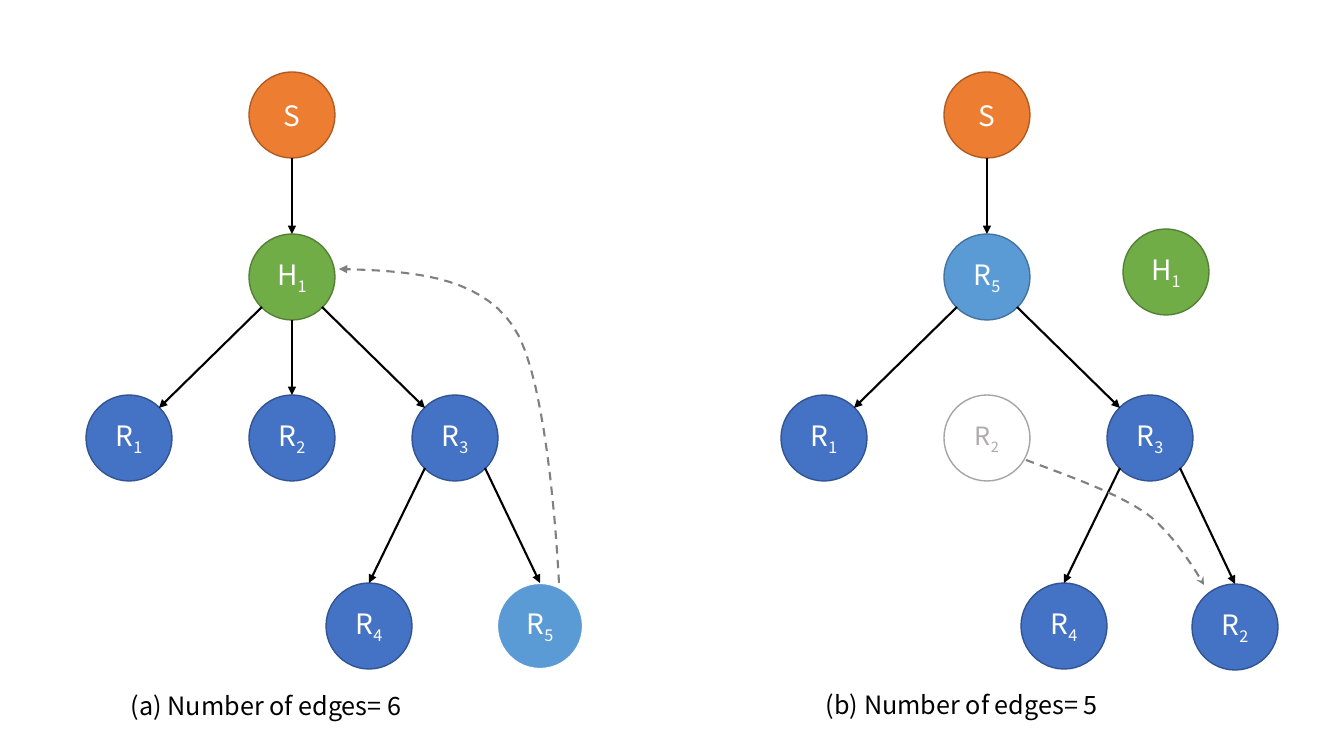
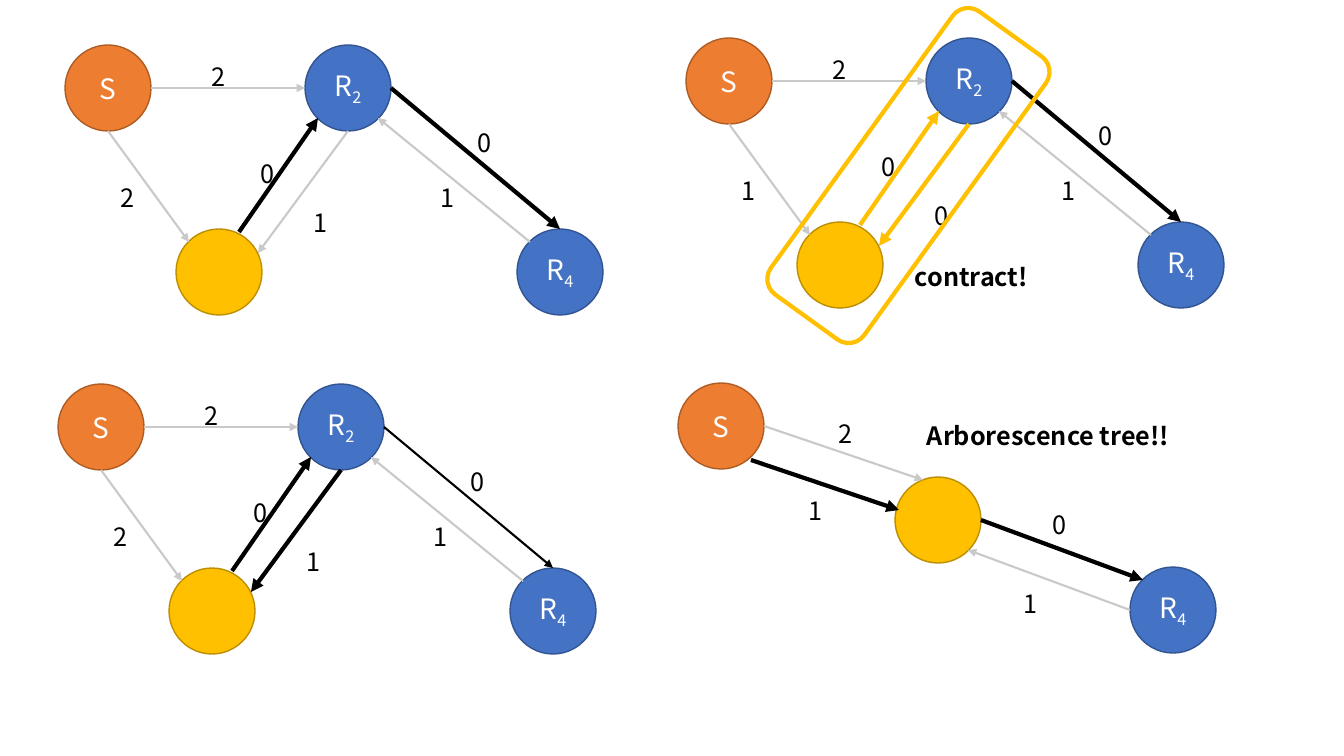
import enum
import typing

import lxml.etree
import pptx
import pptx.dml.color
import pptx.enum.dml
import pptx.enum.shapes
import pptx.enum.text
import pptx.oxml.ns
import pptx.shapes.autoshape
import pptx.slide
import pptx.util

RGBColor = pptx.dml.color.RGBColor
Point = tuple[int, int]

EMU_PER_PIXEL = 914400 / 100.8
FONT = "Noto Sans CJK JP"
RADIUS = 43
CURVE_STEPS = 16

BLACK = RGBColor(0x00, 0x00, 0x00)
WHITE = RGBColor(0xFF, 0xFF, 0xFF)
ORANGE = RGBColor(0xED, 0x7D, 0x31)
DARK_ORANGE = RGBColor(0xAF, 0x5C, 0x24)
GREEN = RGBColor(0x70, 0xAD, 0x47)
DARK_GREEN = RGBColor(0x53, 0x80, 0x35)
BLUE = RGBColor(0x44, 0x72, 0xC4)
DARK_BLUE = RGBColor(0x32, 0x54, 0x91)
SKY = RGBColor(0x5B, 0x9B, 0xD5)
DARK_SKY = RGBColor(0x43, 0x73, 0x9E)
YELLOW = RGBColor(0xFF, 0xC0, 0x00)
DARK_YELLOW = RGBColor(0xBD, 0x8E, 0x00)
PALE_GREY = RGBColor(0xC9, 0xC9, 0xC9)
MIDDLE_GREY = RGBColor(0x80, 0x80, 0x80)
OUTLINE_GREY = RGBColor(0xA5, 0xA5, 0xA5)
TEXT_GREY = RGBColor(0xAF, 0xAB, 0xAB)


class Site(enum.Enum):
    """Places where an edge meets a node: glue index (if any), then offset."""

    TOP = (0, 0, -RADIUS)
    TOP_LEFT = (1, -30, -30)
    LEFT = (2, -RADIUS, 0)
    BOTTOM_LEFT = (3, -30, 30)
    BOTTOM = (4, 0, RADIUS)
    BOTTOM_RIGHT = (5, 30, 30)
    RIGHT = (6, RADIUS, 0)
    TOP_RIGHT = (7, 30, -30)
    STEEP_TOP_RIGHT = (None, 20, -40)
    FLAT_TOP_RIGHT = (None, 39, -19)
    STEEP_TOP_LEFT = (None, -15, -40)
    FLAT_TOP_LEFT = (None, -39, -10)
    LOW_RIGHT = (None, 30, 34)


class Look(typing.NamedTuple):
    """Colours and sizes of a node."""

    fill: RGBColor
    outline: RGBColor
    text: RGBColor = WHITE
    font_size: int = 20
    outline_width: float = 1


class Node(typing.NamedTuple):
    """A labelled circle, placed by its centre within a panel."""

    label: str
    center: Point
    look: Look


class Pen(typing.NamedTuple):
    """Colour and width of an edge."""

    color: RGBColor
    width: float


class Route(typing.NamedTuple):
    """Ends of an edge and the place of its weight."""

    start: str
    start_site: Site
    end: str
    end_site: Site
    weight_at: Point = (0, 0)


class Stroke(typing.NamedTuple):
    """How one panel draws a route."""

    pen: Pen
    weight: str = ""


SOURCE = Look(ORANGE, DARK_ORANGE)
HELPER = Look(GREEN, DARK_GREEN)
RECEIVER = Look(BLUE, DARK_BLUE)
MOVED = Look(SKY, DARK_SKY)
LEAVING = Look(SKY, WHITE, outline_width=1.5)
VACATED = Look(WHITE, OUTLINE_GREY, TEXT_GREY, 18)
MERGED = Look(YELLOW, DARK_YELLOW)

THIN = Pen(BLACK, 1.5)
BOLD = Pen(BLACK, 3)
FAINT = Pen(PALE_GREY, 1.5)
CYCLE = Pen(YELLOW, 3)

BEFORE_NODES = [
    Node("S", (292, 115), SOURCE), Node("H1", (292, 277), HELPER),
    Node("R1", (129, 438), RECEIVER), Node("R2", (292, 438), RECEIVER),
    Node("R3", (455, 438), RECEIVER), Node("R4", (369, 626), RECEIVER),
    Node("R5", (540, 626), LEAVING),
]
BEFORE_ROUTES = [
    Route("S", Site.BOTTOM, "H1", Site.TOP),
    Route("H1", Site.BOTTOM, "R2", Site.TOP),
    Route("H1", Site.BOTTOM_LEFT, "R1", Site.TOP_RIGHT),
    Route("H1", Site.BOTTOM_RIGHT, "R3", Site.TOP_LEFT),
    Route("R3", Site.BOTTOM_LEFT, "R4", Site.TOP),
    Route("R3", Site.BOTTOM_RIGHT, "R5", Site.TOP),
]
AFTER_NODES = [
    Node("S", (292, 115), SOURCE), Node("R5", (292, 277), MOVED),
    Node("R1", (129, 438), RECEIVER), Node("R3", (455, 438), RECEIVER),
    Node("R4", (369, 626), RECEIVER), Node("R2", (540, 627), RECEIVER),
    Node("H1", (471, 272), HELPER),
]
AFTER_ROUTES = [
    Route("S", Site.BOTTOM, "R5", Site.TOP),
    Route("R5", Site.BOTTOM_LEFT, "R1", Site.TOP_RIGHT),
    Route("R5", Site.BOTTOM_RIGHT, "R3", Site.TOP_LEFT),
    Route("R3", Site.BOTTOM_LEFT, "R4", Site.TOP),
    Route("R3", Site.BOTTOM_RIGHT, "R2", Site.TOP),
]
AFTER_ORIGIN = (695, 0)
VACATED_NODE = Node("R2", (292, 438), VACATED)
HELPER_PATH = [(559, 583), (559, 583), (550, 378), (513, 326),
               (477, 274), (407, 271), (339, 269)]
RECEIVER_PATH = [(1026, 460), (1071, 477), (1117, 493), (1147, 514),
                 (1176, 535), (1204, 585), (1204, 585)]

GRAPH_NODES = [
    Node("S", (0, 0), SOURCE), Node("", (111, 184), MERGED),
    Node("R2", (240, 0), RECEIVER), Node("R4", (452, 184), RECEIVER),
]
GRAPH_ROUTES = [
    Route("S", Site.RIGHT, "R2", Site.LEFT, (94, -32)),
    Route("", Site.STEEP_TOP_RIGHT, "R2", Site.BOTTOM_LEFT, (143, 65)),
    Route("S", Site.BOTTOM, "", Site.TOP_LEFT, (3, 89)),
    Route("R2", Site.BOTTOM, "", Site.FLAT_TOP_RIGHT, (196, 114)),
    Route("R2", Site.RIGHT, "R4", Site.TOP, (360, 34)),
    Route("R4", Site.TOP_LEFT, "R2", Site.BOTTOM_RIGHT, (323, 89)),
]
GRAPH_PANELS = [
    ((108, 88), [Stroke(FAINT, "2"), Stroke(BOLD, "0"), Stroke(FAINT, "2"),
                 Stroke(FAINT, "1"), Stroke(BOLD, "0"), Stroke(FAINT, "1")]),
    ((101, 427), [Stroke(FAINT, "2"), Stroke(BOLD, "0"), Stroke(FAINT, "2"),
                  Stroke(BOLD, "1"), Stroke(THIN, "0"), Stroke(FAINT, "1")]),
    ((729, 81), [Stroke(FAINT, "2"), Stroke(CYCLE, "0"), Stroke(FAINT, "1"),
                 Stroke(CYCLE, "0"), Stroke(BOLD, "0"), Stroke(FAINT, "1")]),
]
TREE_NODES = [
    Node("S", (0, 0), SOURCE), Node("", (217, 94), MERGED),
    Node("R4", (452, 184), RECEIVER),
]
TREE_ROUTES = [
    Route("S", Site.RIGHT, "", Site.STEEP_TOP_LEFT, (108, -13)),
    Route("S", Site.LOW_RIGHT, "", Site.FLAT_TOP_LEFT, (78, 64)),
    Route("", Site.RIGHT, "R4", Site.TOP_LEFT, (322, 78)),
    Route("R4", Site.LEFT, "", Site.BOTTOM_RIGHT, (293, 157)),
]
TREE_STROKES = [Stroke(FAINT, "2"), Stroke(BOLD, "1"),
                Stroke(BOLD, "0"), Stroke(FAINT, "1")]


def emu(pixels: float) -> pptx.util.Emu:
    """Turn pixels into EMU."""
    return pptx.util.Emu(round(pixels * EMU_PER_PIXEL))


def shift(point: Point, origin: Point) -> Point:
    """Move a point by an origin."""
    return point[0] + origin[0], point[1] + origin[1]


def add_arrowhead(element: lxml.etree._Element, kind: str) -> None:
    """Put an arrowhead on the far end of a line."""
    line = element.find(".//" + pptx.oxml.ns.qn("a:ln"))
    lxml.etree.SubElement(line, pptx.oxml.ns.qn("a:tailEnd"), type=kind)


def add_node(slide: pptx.slide.Slide, node: Node, origin: Point) -> pptx.shapes.autoshape.Shape:
    """Draw a circle whose label has its digit as a subscript."""
    x, y = shift(node.center, origin)
    shape = slide.shapes.add_shape(
        pptx.enum.shapes.MSO_SHAPE.OVAL, emu(x - RADIUS), emu(y - RADIUS),
        emu(2 * RADIUS), emu(2 * RADIUS))
    shape.shadow.inherit = False
    shape.fill.solid()
    shape.fill.fore_color.rgb = node.look.fill
    shape.line.color.rgb = node.look.outline
    shape.line.width = pptx.util.Pt(node.look.outline_width)
    if node.label:
        shape.text_frame.vertical_anchor = pptx.enum.text.MSO_ANCHOR.MIDDLE
        paragraph = shape.text_frame.paragraphs[0]
        paragraph.alignment = pptx.enum.text.PP_ALIGN.CENTER
        paragraph.font.name = FONT
        paragraph.font.size = pptx.util.Pt(node.look.font_size)
        paragraph.font.color.rgb = node.look.text
        for character in node.label:
            run = paragraph.add_run()
            run.text = character
            if character.isdigit():
                run._r.get_or_add_rPr().set("baseline", "-25000")
    return shape


def add_edge(slide: pptx.slide.Slide, start: Point, end: Point, pen: Pen,
             glue: list[tuple[str, int, int | None]]) -> None:
    """Draw a straight arrow, glued to nodes where it meets their sites."""
    connector = slide.shapes.add_connector(
        pptx.enum.shapes.MSO_CONNECTOR.STRAIGHT, *map(emu, start + end))
    connector.line.color.rgb = pen.color
    connector.line.width = pptx.util.Pt(pen.width)
    add_arrowhead(connector.element, "triangle")
    lxml.etree.SubElement(connector.element.spPr, pptx.oxml.ns.qn("a:effectLst"))
    for tag, shape_id, index in glue:
        if index is not None:
            lxml.etree.SubElement(
                connector.element.nvCxnSpPr.cNvCxnSpPr, pptx.oxml.ns.qn(tag),
                id=str(shape_id), idx=str(index))


def add_text(slide: pptx.slide.Slide, text: str, position: Point, width: int = 22,
             bold: bool = False) -> None:
    """Write one line of black text."""
    box = slide.shapes.add_textbox(*map(emu, position), emu(width), emu(40))
    box.text_frame.word_wrap = True
    box.text_frame.auto_size = pptx.enum.text.MSO_AUTO_SIZE.SHAPE_TO_FIT_TEXT
    paragraph = box.text_frame.paragraphs[0]
    paragraph.text = text
    paragraph.font.name = FONT
    paragraph.font.size = pptx.util.Pt(18)
    paragraph.font.bold = bold
    paragraph.font.color.rgb = BLACK


def add_panel(slide: pptx.slide.Slide, origin: Point, nodes: list[Node],
              routes: list[Route], strokes: list[Stroke]) -> None:
    """Draw one graph: nodes, then edges with their weights."""
    shapes = {node.label: add_node(slide, node, origin) for node in nodes}
    centers = {node.label: shift(node.center, origin) for node in nodes}
    for route, stroke in zip(routes, strokes):
        start_index, *start_offset = route.start_site.value
        end_index, *end_offset = route.end_site.value
        add_edge(slide, shift(centers[route.start], start_offset),
                 shift(centers[route.end], end_offset), stroke.pen,
                 [("a:stCxn", shapes[route.start].shape_id, start_index),
                  ("a:endCxn", shapes[route.end].shape_id, end_index)])
        if stroke.weight:
            add_text(slide, stroke.weight, shift(route.weight_at, origin))


def curve_point(controls: list[Point], t: float) -> tuple[int, int]:
    """Give the point of a cubic curve at t, in EMU."""
    factors = ((1 - t) ** 3, 3 * t * (1 - t) ** 2, 3 * t * t * (1 - t), t ** 3)
    x, y = (sum(f * c for f, c in zip(factors, axis)) for axis in zip(*controls))
    return emu(x), emu(y)


def add_move(slide: pptx.slide.Slide, controls: list[Point], arrowhead: str) -> None:
    """Draw a dashed curved arrow through joined cubic curves."""
    points = [curve_point(controls[first:first + 4], step / CURVE_STEPS)
              for first in range(0, len(controls) - 1, 3)
              for step in range(1, CURVE_STEPS + 1)]
    builder = slide.shapes.build_freeform(*map(emu, controls[0]))
    builder.add_line_segments(points, close=False)
    shape = builder.convert_to_shape()
    shape.shadow.inherit = False
    shape.fill.background()
    shape.line.color.rgb = MIDDLE_GREY
    shape.line.width = pptx.util.Pt(1.5)
    shape.line.dash_style = pptx.enum.dml.MSO_LINE.DASH
    add_arrowhead(shape.element, arrowhead)


def add_contraction(slide: pptx.slide.Slide) -> None:
    """Draw the tilted frame around the cycle."""
    frame = slide.shapes.add_shape(
        pptx.enum.shapes.MSO_SHAPE.ROUNDED_RECTANGLE, *map(emu, (734, 118, 349, 115)))
    frame.rotation = 305.8
    frame.shadow.inherit = False
    frame.fill.background()
    frame.line.color.rgb = YELLOW
    frame.line.width = pptx.util.Pt(3)


def build_edge_count(slide: pptx.slide.Slide) -> None:
    """Compare the tree before and after the helper is dropped."""
    add_panel(slide, (0, 0), BEFORE_NODES, BEFORE_ROUTES, [Stroke(THIN)] * len(BEFORE_ROUTES))
    add_panel(slide, AFTER_ORIGIN, AFTER_NODES, AFTER_ROUTES, [Stroke(THIN)] * len(AFTER_ROUTES))
    add_node(slide, VACATED_NODE, AFTER_ORIGIN)
    add_move(slide, HELPER_PATH, "triangle")
    add_move(slide, RECEIVER_PATH, "stealth")
    add_text(slide, "(a) Number of edges= 6", (121, 685), 341)
    add_text(slide, "(b) Number of edges= 5", shift((121, 684), AFTER_ORIGIN), 341)


def build_arborescence(slide: pptx.slide.Slide) -> None:
    """Show the steps from weighted graph to arborescence."""
    for origin, strokes in GRAPH_PANELS:
        add_panel(slide, origin, GRAPH_NODES, GRAPH_ROUTES, strokes)
    add_contraction(slide)
    add_panel(slide, (721, 426), TREE_NODES, TREE_ROUTES, TREE_STROKES)
    add_text(slide, "Arborescence tree!!", (917, 415), 305, bold=True)
    add_text(slide, "contract!", (905, 256), 167, bold=True)


def main() -> None:
    """Build and save the presentation."""
    presentation = pptx.Presentation()
    presentation.slide_width, presentation.slide_height = emu(1344), emu(756)
    for build in (build_edge_count, build_arborescence):
        build(presentation.slides.add_slide(presentation.slide_layouts[6]))
    presentation.save("out.pptx")


main()
